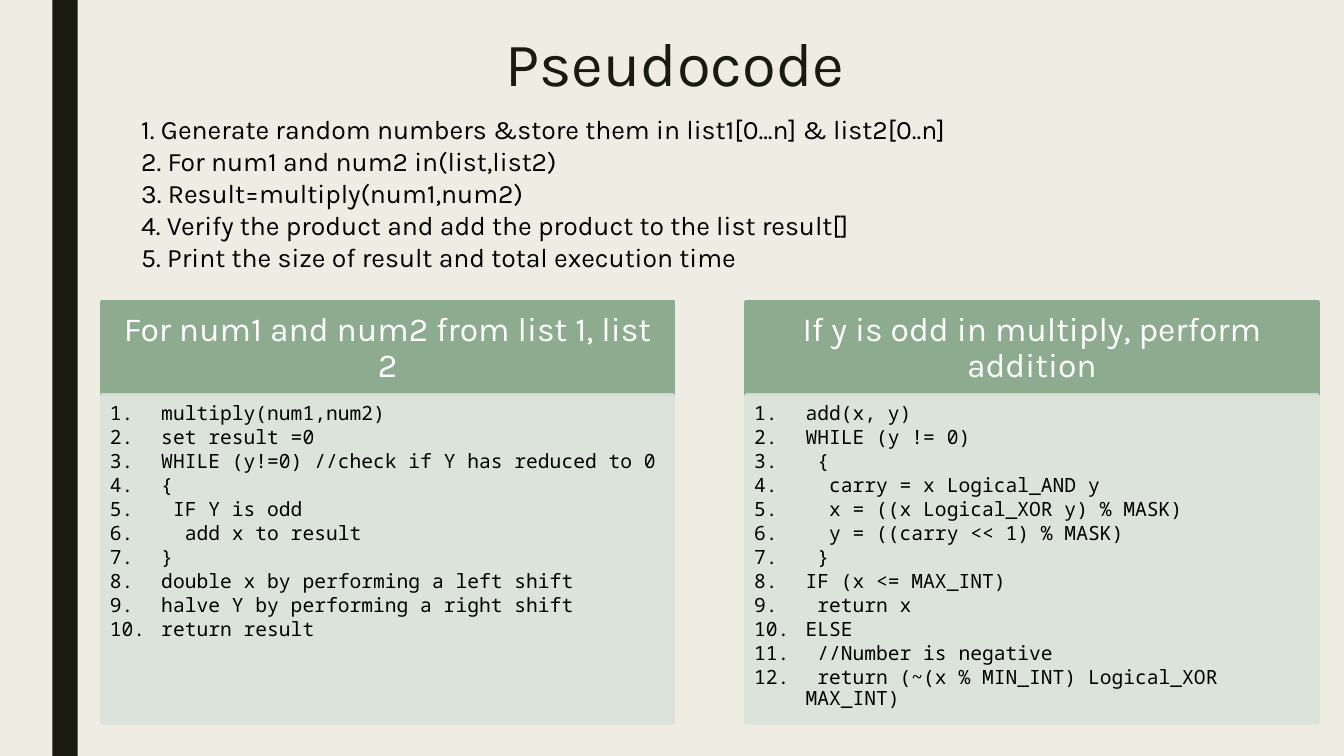
from pptx import Presentation
from pptx.dml.color import RGBColor
from pptx.enum.shapes import MSO_SHAPE
from pptx.enum.text import MSO_ANCHOR, PP_ALIGN
from pptx.oxml.ns import qn
from pptx.util import Inches, Pt
from lxml.etree import SubElement

CREAM = RGBColor(0xEF, 0xED, 0xE3)
INK = RGBColor(0x19, 0x1B, 0x0E)
SAGE = RGBColor(0x8D, 0xAB, 0x8E)
MIST = RGBColor(0xDB, 0xE2, 0xDB)
WHITE = RGBColor(0xFF, 0xFF, 0xFF)
BLACK = RGBColor(0, 0, 0)

STEPS = [
    "1. Generate random numbers &store them in list1[0...n] & list2[0..n]",
    "2. For num1 and num2 in(list,list2)",
    "3. Result=multiply(num1,num2)",
    "4. Verify the product and add the product to the list result[]",
    "5. Print the size of result and total execution time",
]
PANELS = [
    ("For num1 and num2 from list 1, list 2", [
        "multiply(num1,num2)",
        "set result =0",
        "WHILE (y!=0) //check if Y has reduced to 0",
        "{",
        " IF Y is odd",
        "  add x to result",
        "}",
        "double x by performing a left shift",
        "halve Y by performing a right shift",
        "return result",
    ]),
    ("If y is odd in multiply, perform addition", [
        "add(x, y)",
        "WHILE (y != 0)",
        " {",
        "  carry = x Logical_AND y",
        "  x = ((x Logical_XOR y) % MASK)",
        "  y = ((carry << 1) % MASK)",
        " }",
        "IF (x <= MAX_INT)",
        " return x",
        "ELSE",
        " //Number is negative",
        " return (~(x % MIN_INT) Logical_XOR MAX_INT)",
    ]),
]


def write(frame, lines, size, color, font="Karla", align=PP_ALIGN.LEFT,
          anchor=MSO_ANCHOR.TOP, insets=(0.1, 0.05, 0.1, 0.05),
          spacing=1.0, after=0, numbered=False, indent=0):
    """Fill a text frame with one formatted paragraph per line."""
    frame.word_wrap = True
    frame.vertical_anchor = anchor
    (frame.margin_left, frame.margin_top,
     frame.margin_right, frame.margin_bottom) = map(Inches, insets)
    for index, line in enumerate(lines):
        para = frame.add_paragraph() if index else frame.paragraphs[0]
        para.alignment = align
        para.line_spacing = spacing
        para.space_before = Pt(0)
        para.space_after = Pt(after)
        properties = para._p.get_or_add_pPr()
        properties.set("marL", str(Inches(indent)))
        properties.set("indent", str(-Inches(indent)))
        if numbered:
            SubElement(properties, qn("a:buFont"), typeface="+mj-lt")
            SubElement(properties, qn("a:buAutoNum"), type="arabicPeriod")
        else:
            SubElement(properties, qn("a:buNone"))
        span = para.add_run()
        span.text = line
        span.font.name = font
        span.font.size = Pt(size)
        span.font.color.rgb = color


class Slide:
    """Holds the deck style and the current page."""

    def __init__(self, deck):
        self.page = deck.slides.add_slide(deck.slide_layouts[1])
        self.page.background.fill.solid()
        self.page.background.fill.fore_color.rgb = CREAM

    def placeholder(self, index, left, top, width, height, lines, **style):
        """Move a template placeholder and write into it."""
        box = self.page.placeholders[index]
        box.left, box.top = Inches(left), Inches(top)
        box.width, box.height = Inches(width), Inches(height)
        write(box.text_frame, lines, **style)

    def block(self, left, top, width, height, color, outlined=True, opacity=100):
        """Add a filled rectangle."""
        box = self.page.shapes.add_shape(
            MSO_SHAPE.RECTANGLE, Inches(left), Inches(top), Inches(width), Inches(height))
        box.shadow.inherit = False
        box.fill.solid()
        box.fill.fore_color.rgb = color
        if outlined:
            box.line.color.rgb = color
            box.line.width = Pt(2.75)
        else:
            box.line.fill.background()
        if opacity < 100:
            for tint in box._element.spPr.iter(qn("a:srgbClr")):
                SubElement(tint, qn("a:alpha"), val=str(opacity * 1000))
        return box

    def panel(self, left, heading, code):
        """Add a heading block above a numbered code block."""
        header = self.block(left, 3, 5.67, 0.92, SAGE)
        write(header.text_frame, [heading], 24, WHITE, align=PP_ALIGN.CENTER,
              anchor=MSO_ANCHOR.MIDDLE, insets=(0.19, 0.11, 0.19, 0.11), spacing=0.9)
        listing = self.block(left, 3.92, 5.67, 3.25, MIST, opacity=90)
        write(listing.text_frame, code, 14, BLACK, font="Noto Sans Mono",
              insets=(0.08, 0.08, 0.11, 0.12), spacing=0.9, after=2,
              numbered=True, indent=0.51)


def main():
    deck = Presentation()
    deck.slide_width, deck.slide_height = Inches(13.33), Inches(7.5)
    slide = Slide(deck)
    slide.block(0.52, 0, 0.25, 7.5, INK, outlined=False)
    slide.placeholder(0, 1.5, 0.26, 10.39, 0.81, ["Pseudocode"], size=44, color=INK,
                      align=PP_ALIGN.CENTER, anchor=MSO_ANCHOR.MIDDLE, spacing=0.89)
    slide.placeholder(1, 1.3, 1.07, 11.76, 1.7, STEPS, size=19, color=BLACK)
    for column, (heading, code) in enumerate(PANELS):
        slide.panel(1.01 + column * 6.39, heading, code)
    deck.save("out.pptx")


if __name__ == "__main__":
    main()
